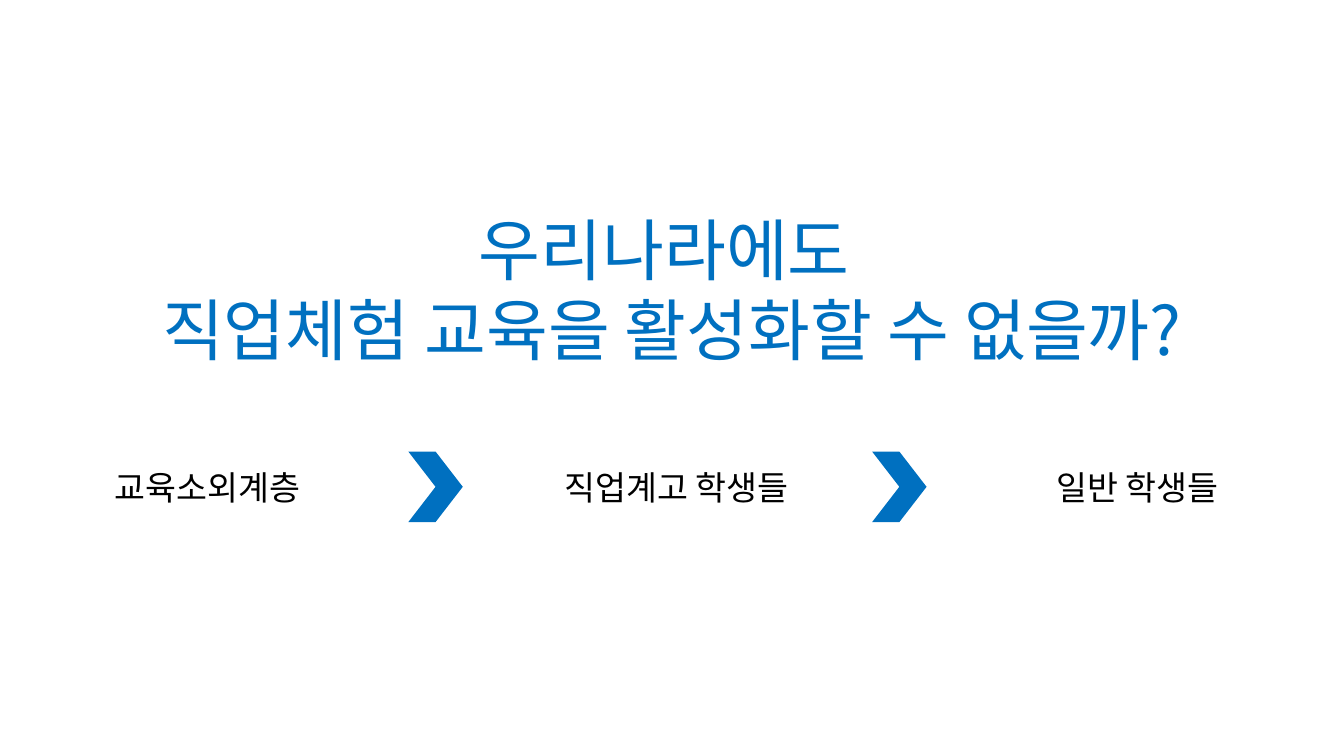
from lxml.etree import SubElement
from pptx import Presentation
from pptx.dml.color import RGBColor
from pptx.enum.shapes import MSO_SHAPE as Shape
from pptx.enum.text import PP_ALIGN as Align
from pptx.oxml.ns import qn
from pptx.util import Inches, Pt

BLUE = RGBColor(0x00, 0x70, 0xC0)
BLACK = RGBColor(0x00, 0x00, 0x00)
FONT = "Noto Sans CJK KR"
LINE_HEIGHT = 1.19

TITLE = ["우리나라에도 ", "직업체험 교육을 활성화할 수 없을까?"]
GROUPS = [
    ("교육소외계층", 0, 2.51),
    ("직업계고 학생들", 4.46, 2.51),
    ("일반 학생들", 9.34, 1.92),
]
CHEVRON_OFFSETS = [3.01, 7.61]


def add_text(slide, lines, left, top, width, height, size, color, align):
    """Add a text box with one paragraph per line."""
    box = slide.shapes.add_textbox(
        Inches(left), Inches(top), Inches(width), Inches(height)
    )
    frame = box.text_frame
    frame.word_wrap = True
    frame.text = "\n".join(lines)
    for paragraph in frame.paragraphs:
        paragraph.alignment = align
        paragraph.line_spacing = Pt(round(size * LINE_HEIGHT))
        for run in paragraph.runs:
            run.font.size = Pt(size)
            run.font.color.rgb = color
            run.font.name = FONT
            east_asian = SubElement(run.font._element, qn("a:ea"))
            east_asian.set("typeface", FONT)


def add_title(slide, left, top, width, height):
    """Place the centred question."""
    add_text(slide, TITLE, left, top, width, height, 48, BLUE, Align.CENTER)


def add_group_flow(slide, left, top, height):
    """Place the student groups in a row with chevrons between them."""
    label_height = 0.5
    label_top = top + (height - label_height) / 2
    for label, offset, width in GROUPS:
        add_text(slide, [label], left + offset, label_top, width,
                 label_height, 24, BLACK, Align.LEFT)
    for offset in CHEVRON_OFFSETS:
        chevron = slide.shapes.add_shape(
            Shape.CHEVRON, Inches(left + offset), Inches(top),
            Inches(0.54), Inches(height)
        )
        chevron.shadow.inherit = False
        chevron.fill.solid()
        chevron.fill.fore_color.rgb = BLUE
        chevron.line.fill.background()


def main():
    """Build the slide and save it."""
    presentation = Presentation()
    presentation.slide_width = Inches(13.33)
    presentation.slide_height = Inches(7.5)
    slide = presentation.slides.add_slide(presentation.slide_layouts[6])
    add_title(slide, -0.45, 2.03, 14.23, 1.72)
    add_group_flow(slide, 1.04, 4.48, 0.7)
    presentation.save("out.pptx")


if __name__ == "__main__":
    main()
